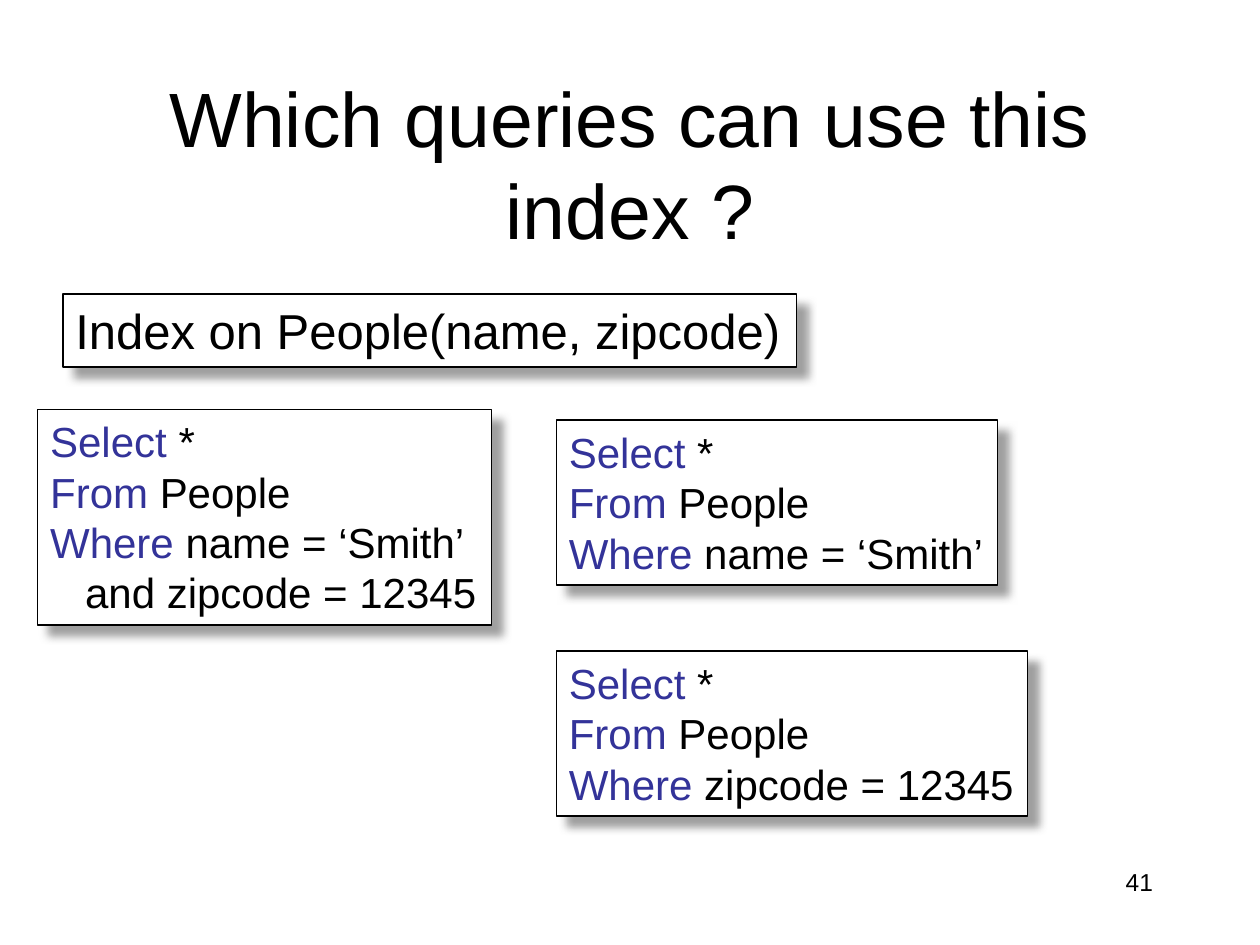
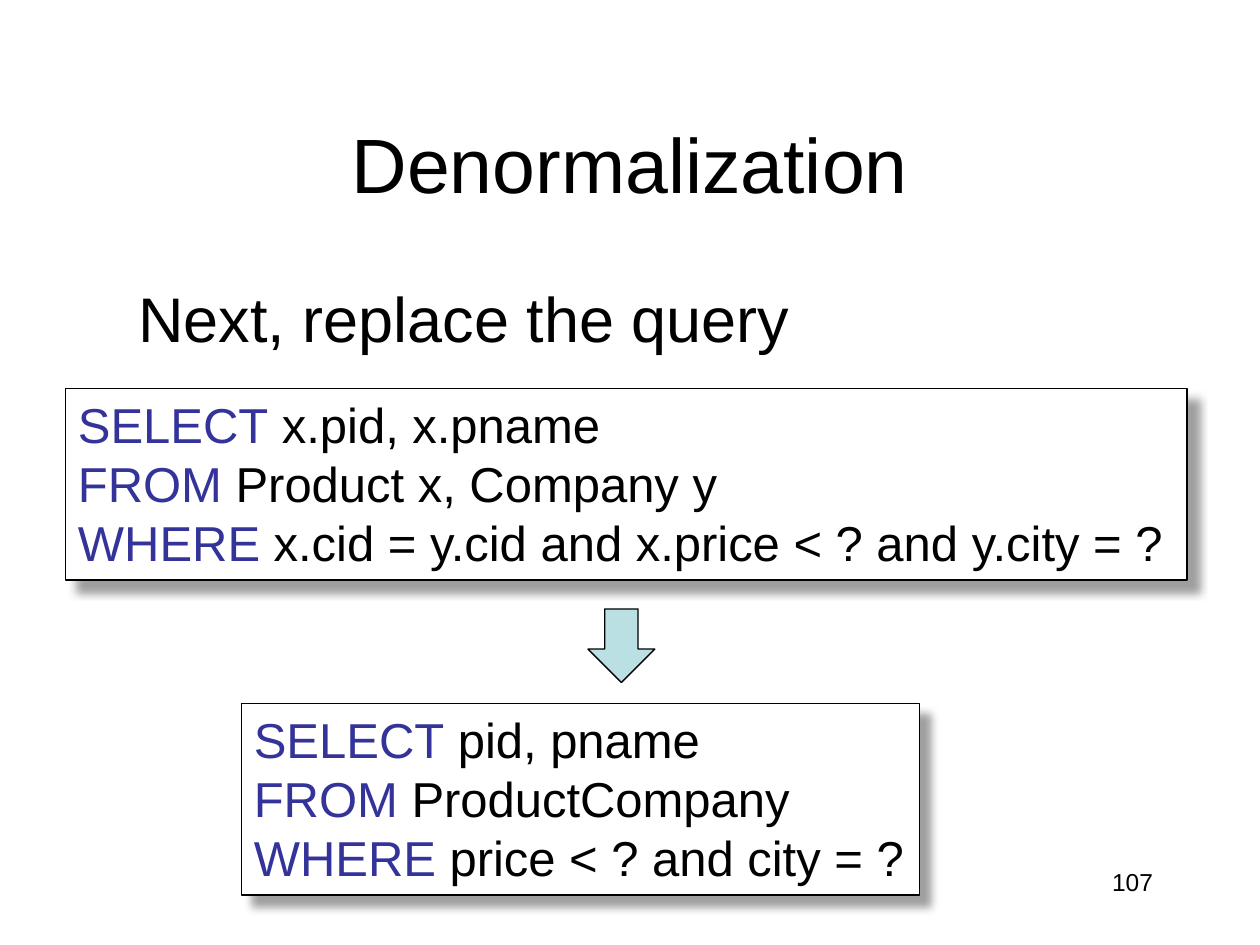
from lxml import etree
from pptx import Presentation
from pptx.dml.color import RGBColor
from pptx.enum.shapes import MSO_SHAPE as Preset
from pptx.enum.text import MSO_ANCHOR as Anchor, MSO_AUTO_SIZE as AutoSize, PP_ALIGN as Align
from pptx.oxml import parse_xml
from pptx.oxml.ns import nsdecls
from pptx.util import Pt

# Shared look
FONT = "Arial"
BLACK, WHITE, KEYWORD, ARROW = "000000", "FFFFFF", "333399", "BBE0E3"
SHADOW = (
    f'<a:effectLst {nsdecls("a")}>'
    f'<a:outerShdw blurRad="{Pt(5)}" dist="{Pt(8.5)}" dir="2700000" algn="ctr" rotWithShape="0">'
    '<a:srgbClr val="808080"><a:alpha val="75000"/></a:srgbClr>'
    '</a:outerShdw></a:effectLst>'
)


def write(shape, lines, size, align=Align.LEFT, anchor=Anchor.TOP, wrap=False, fit=AutoSize.NONE):
    """Fill a shape with lines, each a list of (text, colour) runs."""
    frame = shape.text_frame
    frame.word_wrap, frame.auto_size, frame.vertical_anchor = wrap, fit, anchor
    for number, runs in enumerate(lines):
        para = frame.add_paragraph() if number else frame.paragraphs[0]
        para.alignment = align
        for text, colour in runs:
            span = para.add_run()
            span.text = text
            span.font.name, span.font.size = FONT, Pt(size)
            span.font.color.rgb = RGBColor.from_string(colour)


def add_block(page, preset, place, fill, weight):
    """Add an outlined preset shape without a shadow."""
    shape = page.shapes.add_shape(preset, *map(Pt, place))
    shape.shadow.inherit = False
    shape.fill.solid()
    shape.fill.fore_color.rgb = RGBColor.from_string(fill)
    shape.line.color.rgb = RGBColor.from_string(BLACK)
    shape.line.width = Pt(weight)
    return shape


# Slide content: code boxes are (place, text size, line width, [(keyword, rest)])
select_people = [("Select", " *"), ("From", " People")]
slides = [
    ("Which queries can use this index ?", "41", [
        ((21.6, 234, 259.2, 123.12), 24, 0.75,
         select_people + [("Where", " name = ‘Smith’ "), ("", "   and zipcode = 12345")]),
        ((36, 168, 419, 41.76), 28, 0.75, [("", "Index on People(name, zipcode)")]),
        ((318, 240, 252, 94.32), 24, 0.75, select_people + [("Where", " name = ‘Smith’")]),
        ((318, 372, 269.3, 94.32), 24, 0.75, select_people + [("Where", " zipcode = 12345")]),
    ]),
    ("Denormalization", "107", [
        ((37.5, 222, 640.8, 109.44), 28, 1,
         [("SELECT", " x.pid, x.pname"), ("FROM", " Product x, Company y"),
          ("WHERE", " x.cid = y.cid and x.price < ? and y.city = ?")]),
        ((138, 402, 387.4, 109.44), 28, 1,
         [("SELECT", " pid, pname"), ("FROM", " ProductCompany"),
          ("WHERE", " price < ? and city = ?")]),
    ]),
]

deck = Presentation()
deck.slide_width, deck.slide_height = Pt(720), Pt(540)

for heading, page_number, code_boxes in slides:
    page = deck.slides.add_slide(deck.slide_layouts[5])

    # Title
    title = page.shapes.title
    title.left, title.top, title.width, title.height = map(Pt, (54, 48, 612, 90))
    write(title, [[(heading, BLACK)]], 44, Align.CENTER, Anchor.MIDDLE, wrap=True)

    # Page number
    footer = page.shapes.add_textbox(Pt(516), Pt(492), Pt(150), Pt(36))
    write(footer, [[(page_number, BLACK)]], 14, Align.RIGHT, wrap=True)

    # Code boxes with a soft shadow
    for place, size, weight, code in code_boxes:
        box = add_block(page, Preset.RECTANGLE, place, WHITE, weight)
        properties = box._element.spPr
        properties.replace(properties.find("{*}effectLst"), parse_xml(SHADOW))
        lines = [[(text, colour) for text, colour in ((keyword, KEYWORD), (rest, BLACK)) if text]
                 for keyword, rest in code]
        write(box, lines, size, fit=AutoSize.SHAPE_TO_FIT_TEXT)

# Lead-in and arrow between the two queries on the last slide
lead = page.shapes.add_textbox(Pt(72), Pt(156), Pt(386.6), Pt(50.4))
write(lead, [[("Next, replace the query", BLACK)]], 36, fit=AutoSize.SHAPE_TO_FIT_TEXT)
add_block(page, Preset.DOWN_ARROW, (336, 348, 38.2, 42), ARROW, 0.75)

deck.save("out.pptx")
